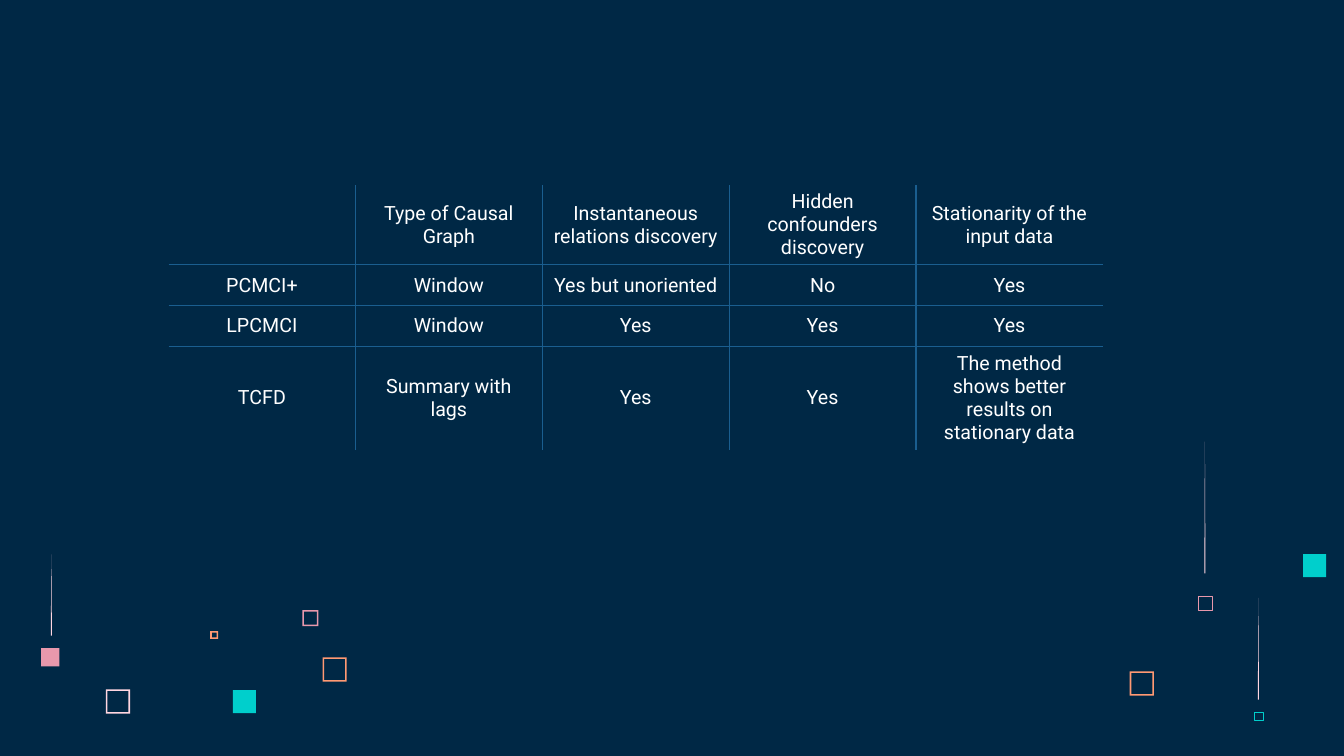
import pptx
import pptx.util
import pptx.dml.color
import pptx.enum.shapes
import pptx.enum.text
import pptx.oxml
import pptx.oxml.ns

Pt = pptx.util.Pt
SHAPE = pptx.enum.shapes.MSO_SHAPE

# Content
METHODS = [
    ["", "Type of Causal Graph", "Instantaneous relations discovery",
     "Hidden confounders discovery", "Stationarity of the input data"],
    ["PCMCI+", "Window", "Yes but unoriented", "No", "Yes"],
    ["LPCMCI", "Window", "Yes", "Yes", "Yes"],
    ["TCFD", "Summary with lags", "Yes", "Yes",
     "The method shows better results on stationary data"],
]

# Decorations: left, top, side, colour
FRAMES = [
    (75.6, 492.5, 17.3, "blush"),
    (216, 435.8, 11.5, "rose"),
    (150.2, 450.8, 5.6, "orange"),
    (230.4, 469.6, 17.3, "orange"),
    (807, 479.6, 17.3, "orange"),
]
SOLIDS = [
    (166.4, 493, 16.4, "teal"),
    (930.8, 395.8, 16.4, "teal"),
    (29.4, 463, 13, "rose"),
]
OUTLINES = [
    (855.8, 425.8, 10.1, "rose"),
    (895.9, 508.5, 6.2, "teal"),
]
# Fading beams: centre, top, height
BEAMS = [(860.7, 315.5, 94), (36.7, 396, 58), (898.9, 427, 72.7)]

THEME = {
    "background": "002845", "text": "FFFFFF", "grid": "1A5E8F",
    "blush": "FFD6E1", "rose": "E898AC", "orange": "FF9973", "teal": "00CFCC",
    "font": "Roboto", "size": 14,
}

# Geometry
SLIDE_WIDTH, SLIDE_HEIGHT = 960, 540
TABLE_LEFT, TABLE_TOP = 120.4, 132.2
COLUMN_WIDTH = 133.5
ROW_HEIGHTS = [57, 29.2, 29.2, 73.6]
FRAME_BAND, BEAM_WIDTH, OUTLINE_WIDTH = 1.1, 0.8, 0.23


def colour(name):
    return pptx.dml.color.RGBColor.from_string(THEME[name])


def add_decoration(slide, kind, left, top, width, height, name, outlined=False):
    decoration = slide.shapes.add_shape(kind, Pt(left), Pt(top), Pt(width), Pt(height))
    decoration.shadow.inherit = False
    if outlined:
        decoration.fill.background()
        decoration.line.color.rgb = colour(name)
        decoration.line.width = Pt(OUTLINE_WIDTH)
    else:
        decoration.fill.solid()
        decoration.fill.fore_color.rgb = colour(name)
        decoration.line.fill.background()
    return decoration


def set_borders(cell, visible):
    properties = cell._tc.get_or_add_tcPr()
    for side in ("lnL", "lnR", "lnT", "lnB"):
        paint = "<a:noFill/>"
        if visible[side]:
            paint = f'<a:solidFill><a:srgbClr val="{THEME["grid"]}"/></a:solidFill>'
        properties.append(pptx.oxml.parse_xml(
            f'<a:{side} {pptx.oxml.ns.nsdecls("a")} w="{Pt(1)}">{paint}</a:{side}>'))


def add_methods_table(slide):
    rows, columns = len(METHODS), len(METHODS[0])
    table = slide.shapes.add_table(
        rows, columns, Pt(TABLE_LEFT), Pt(TABLE_TOP),
        Pt(COLUMN_WIDTH * columns), Pt(sum(ROW_HEIGHTS))).table
    for option, value in {"first_row": False, "horz_banding": False}.items():
        setattr(table, option, value)
    for column in table.columns:
        column.width = Pt(COLUMN_WIDTH)
    for r, height in enumerate(ROW_HEIGHTS):
        table.rows[r].height = Pt(height)
        for c, wording in enumerate(METHODS[r]):
            cell = table.cell(r, c)
            # Only inner grid lines show
            set_borders(cell, {"lnL": c > 0, "lnR": c < columns - 1,
                               "lnT": r > 0, "lnB": r < rows - 1})
            cell.fill.background()
            cell.vertical_anchor = pptx.enum.text.MSO_ANCHOR.MIDDLE
            paragraph = cell.text_frame.paragraphs[0]
            paragraph.text = wording
            paragraph.alignment = pptx.enum.text.PP_ALIGN.CENTER
            for attribute, value in {"name": THEME["font"], "size": Pt(THEME["size"])}.items():
                setattr(paragraph.font, attribute, value)
            paragraph.font.color.rgb = colour("text")


def main():
    deck = pptx.Presentation()
    deck.slide_width, deck.slide_height = Pt(SLIDE_WIDTH), Pt(SLIDE_HEIGHT)
    slide = deck.slides.add_slide(deck.slide_layouts[6])
    slide.background.fill.solid()
    slide.background.fill.fore_color.rgb = colour("background")

    # Squares and beams
    for left, top, side, name in FRAMES:
        frame = add_decoration(slide, SHAPE.FRAME, left, top, side, side, name)
        frame.adjustments[0] = FRAME_BAND / side
    for squares, outlined in ((SOLIDS, False), (OUTLINES, True)):
        for left, top, side, name in squares:
            add_decoration(slide, SHAPE.RECTANGLE, left, top, side, side, name, outlined)
    for centre, top, height in BEAMS:
        add_decoration(slide, SHAPE.ISOSCELES_TRIANGLE, centre - BEAM_WIDTH / 2, top,
                       BEAM_WIDTH, height, "blush")

    # Comparison of methods
    add_methods_table(slide)
    deck.save("out.pptx")


if __name__ == "__main__":
    main()
